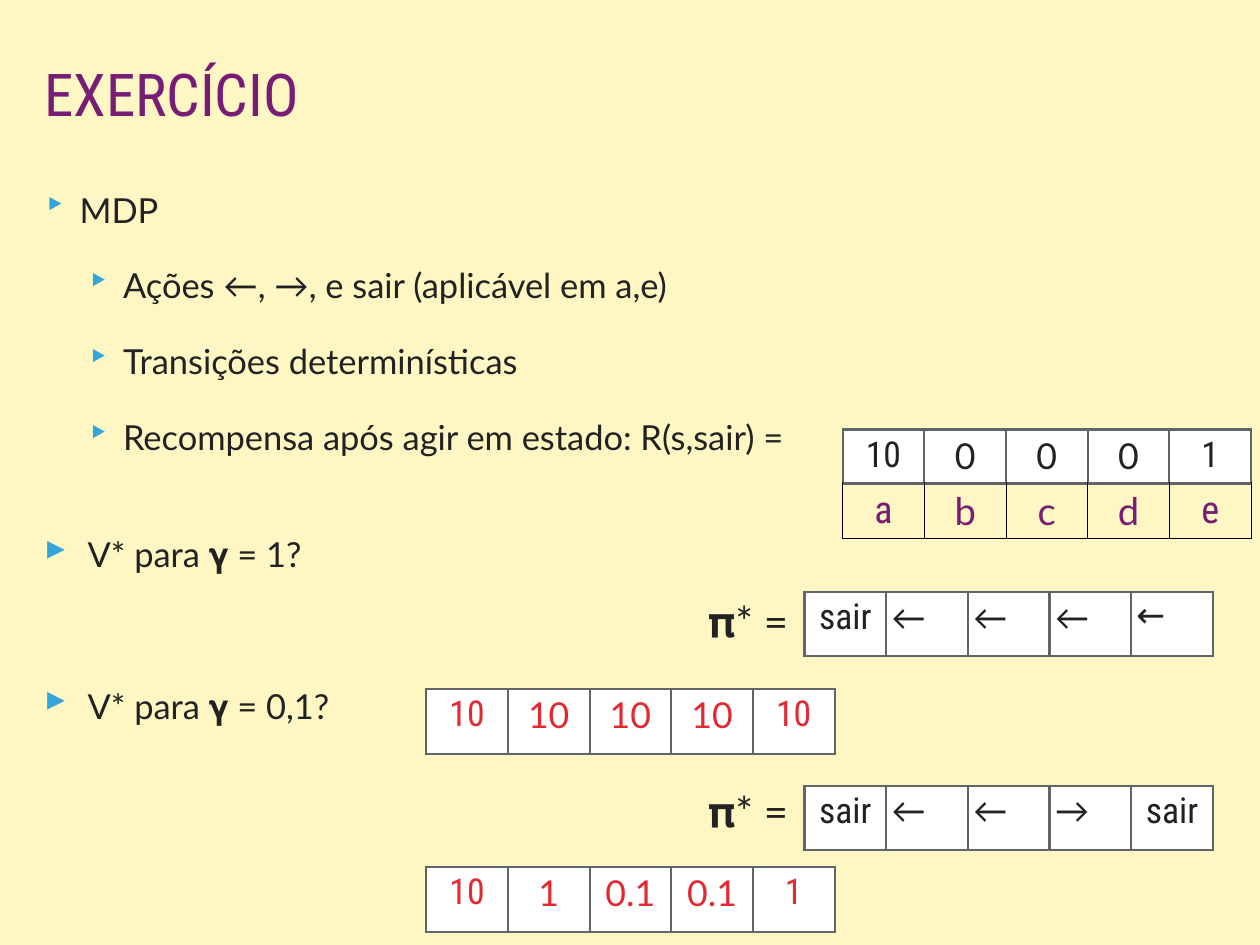
import dataclasses

import lxml.etree
import pptx
import pptx.dml.color
import pptx.enum.text
import pptx.oxml.ns
import pptx.util


@dataclasses.dataclass(frozen=True)
class Theme:
    background: str = "FFF7C3"
    title: str = "771D76"
    text: str = "222222"
    bullet: str = "34A5DA"
    answer: str = "E42832"
    cell: str = "FFFFFF"
    border: str = "5F6568"
    label_border: str = "000000"
    heading_font: str = "Roboto Condensed"
    body_font: str = "Lato"
    title_size: int = 48
    body_size: int = 28
    arrow_size: int = 28
    value_size: int = 29
    state_size: int = 31
    policy_size: int = 34
    border_width: float = 1.98
    label_border_width: float = 0.8


THEME = Theme()
SLIDE_WIDTH = pptx.util.Inches(14.22)
SLIDE_HEIGHT = pptx.util.Inches(10.67)
INSET = pptx.util.Inches(0.06)
CELL_INSET = pptx.util.Inches(0.05)
LEFT_MARGIN = 3.09
ANSWER_LEFT = 33.83
POLICY_LEFT = 63.85
POLICY_LABEL_LEFT = 55.77
REWARD_LEFT = 66.88
TABLE_WIDTH = 32.42
ROW_HEIGHT = 6.84
REWARD_ROW_HEIGHT = 5.72
PARAGRAPH_GAP = 28
LINE_HEIGHT = 33.6
ARROWS = "←→"


def across(percent):
    return round(SLIDE_WIDTH * percent / 100)


def down(percent):
    return round(SLIDE_HEIGHT * percent / 100)


def rgb(value):
    return pptx.dml.color.RGBColor.from_string(value)


def format_runs(paragraph, size, font, color):
    for run in paragraph.runs:
        run.font.size = pptx.util.Pt(size)
        run.font.name = font
        run.font.bold = False
        run.font.color.rgb = rgb(color)


def set_insets(frame):
    frame.margin_left = frame.margin_right = INSET
    frame.margin_top = frame.margin_bottom = INSET


def add_child(parent, tag, **attributes):
    child = lxml.etree.SubElement(parent, pptx.oxml.ns.qn(tag))
    for name, value in attributes.items():
        child.set(name, str(value))
    return child


def add_bullet(paragraph, character, margin, hanging):
    properties = paragraph._p.get_or_add_pPr()
    properties.set("marL", str(pptx.util.Inches(margin)))
    properties.set("indent", str(-pptx.util.Inches(hanging)))
    add_child(add_child(properties, "a:buClr"), "a:srgbClr", val=THEME.bullet)
    add_child(properties, "a:buSzPct", val=105000)
    add_child(properties, "a:buChar", char=character)


def set_title(slide, text):
    title = slide.shapes.title
    title.left, title.top = across(LEFT_MARGIN), down(6.94)
    title.width, title.height = across(48.45), down(7.4)
    frame = title.text_frame
    frame.text = text
    frame.auto_size = pptx.enum.text.MSO_AUTO_SIZE.NONE
    frame.vertical_anchor = pptx.enum.text.MSO_ANCHOR.TOP
    set_insets(frame)
    paragraph = frame.paragraphs[0]
    paragraph.alignment = pptx.enum.text.PP_ALIGN.LEFT
    paragraph.line_spacing = 0.8
    paragraph.space_before = pptx.util.Pt(0)
    format_runs(paragraph, THEME.title_size, THEME.heading_font, THEME.title)


def add_bullet_list(slide, items):
    box = slide.shapes.add_textbox(across(LEFT_MARGIN), down(19.4), across(93.74), down(71.79))
    frame = box.text_frame
    frame.word_wrap = True
    set_insets(frame)
    frame.text = "\n".join(text for text, *_ in items)
    for paragraph, (_, level, character, margin, hanging, gap) in zip(frame.paragraphs, items):
        paragraph.level = level
        add_bullet(paragraph, character, margin, hanging)
        paragraph.space_before = pptx.util.Pt(gap)
        format_runs(paragraph, THEME.body_size, THEME.body_font, THEME.text)


def add_policy_label(slide, top):
    box = slide.shapes.add_textbox(across(POLICY_LABEL_LEFT), down(top), across(8.3), down(6.37))
    frame = box.text_frame
    frame.text = "𝛑* ="
    frame.word_wrap = False
    frame.auto_size = pptx.enum.text.MSO_AUTO_SIZE.SHAPE_TO_FIT_TEXT
    frame.vertical_anchor = pptx.enum.text.MSO_ANCHOR.MIDDLE
    set_insets(frame)
    format_runs(frame.paragraphs[0], THEME.policy_size, THEME.body_font, THEME.text)


def set_borders(cell, is_label):
    properties = cell._tc.get_or_add_tcPr()
    for side in ("L", "R", "T", "B"):
        thin = is_label and side != "T"
        width = THEME.label_border_width if thin else THEME.border_width
        color = THEME.label_border if thin else THEME.border
        line = add_child(properties, f"a:ln{side}", w=pptx.util.Pt(width))
        add_child(add_child(line, "a:solidFill"), "a:srgbClr", val=color)


def fill_cell(cell, text, font, color, is_label):
    set_borders(cell, is_label)
    if is_label:
        cell.fill.background()
    else:
        cell.fill.solid()
        cell.fill.fore_color.rgb = rgb(THEME.cell)
    cell.margin_left = cell.margin_right = INSET
    cell.margin_top = cell.margin_bottom = CELL_INSET
    cell.text_frame.text = text
    paragraph = cell.text_frame.paragraphs[0]
    is_arrow = text in ARROWS
    alignment = pptx.enum.text.PP_ALIGN
    paragraph.alignment = alignment.LEFT if is_arrow else alignment.CENTER
    value_size = THEME.arrow_size if is_arrow else THEME.value_size
    format_runs(paragraph, THEME.state_size if is_label else value_size, font, color)


def add_state_table(slide, left, top, row_height, color, values, labels=()):
    rows = [values, labels] if labels else [values]
    frame = slide.shapes.add_table(
        len(rows), len(values), across(left), down(top),
        across(TABLE_WIDTH), down(row_height * len(rows)))
    table = frame.table
    table.first_row = table.horz_banding = False
    for column in table.columns:
        column.width = across(TABLE_WIDTH / len(values))
    for row_index, texts in enumerate(rows):
        table.rows[row_index].height = down(row_height)
        is_label = row_index == 1
        for column_index, text in enumerate(texts):
            is_outer = column_index in (0, len(values) - 1)
            font = THEME.heading_font if is_outer else THEME.body_font
            fill_cell(table.cell(row_index, column_index), text, font,
                      THEME.title if is_label else color, is_label)


def main():
    presentation = pptx.Presentation()
    presentation.slide_width = SLIDE_WIDTH
    presentation.slide_height = SLIDE_HEIGHT
    slide = presentation.slides.add_slide(presentation.slide_layouts[5])
    slide.background.fill.solid()
    slide.background.fill.fore_color.rgb = rgb(THEME.background)

    set_title(slide, "EXERCÍCIO")
    detail = (1, "‣", 0.89, 0.4, PARAGRAPH_GAP)
    question = (0, "▸", 0.49, 0.49)
    first_gap = PARAGRAPH_GAP + LINE_HEIGHT
    add_bullet_list(slide, [
        ("MDP", 0, "‣", 0.4, 0.4, 0),
        ("Ações ←, →, e sair (aplicável em a,e)", *detail),
        ("Transições determinísticas", *detail),
        ("Recompensa após agir em estado: R(s,sair) =", *detail),
        ("V* para 𝛄 = 1?", *question, first_gap),
        ("V* para 𝛄 = 0,1?", *question, first_gap + PARAGRAPH_GAP),
    ])

    add_state_table(slide, REWARD_LEFT, 45.45, REWARD_ROW_HEIGHT, THEME.text,
                    ["10", "0", "0", "0", "1"], list("abcde"))
    for left, top, color, values in (
        (POLICY_LEFT, 62.61, THEME.text, ["sair", "←", "←", "←", "←"]),
        (ANSWER_LEFT, 72.91, THEME.answer, ["10"] * 5),
        (POLICY_LEFT, 83.13, THEME.text, ["sair", "←", "←", "→", "sair"]),
        (ANSWER_LEFT, 91.75, THEME.answer, ["10", "1", "0.1", "0.1", "1"]),
    ):
        add_state_table(slide, left, top, ROW_HEIGHT, color, values)
    for top in (62.51, 82.57):
        add_policy_label(slide, top)

    presentation.save("out.pptx")


if __name__ == "__main__":
    main()
